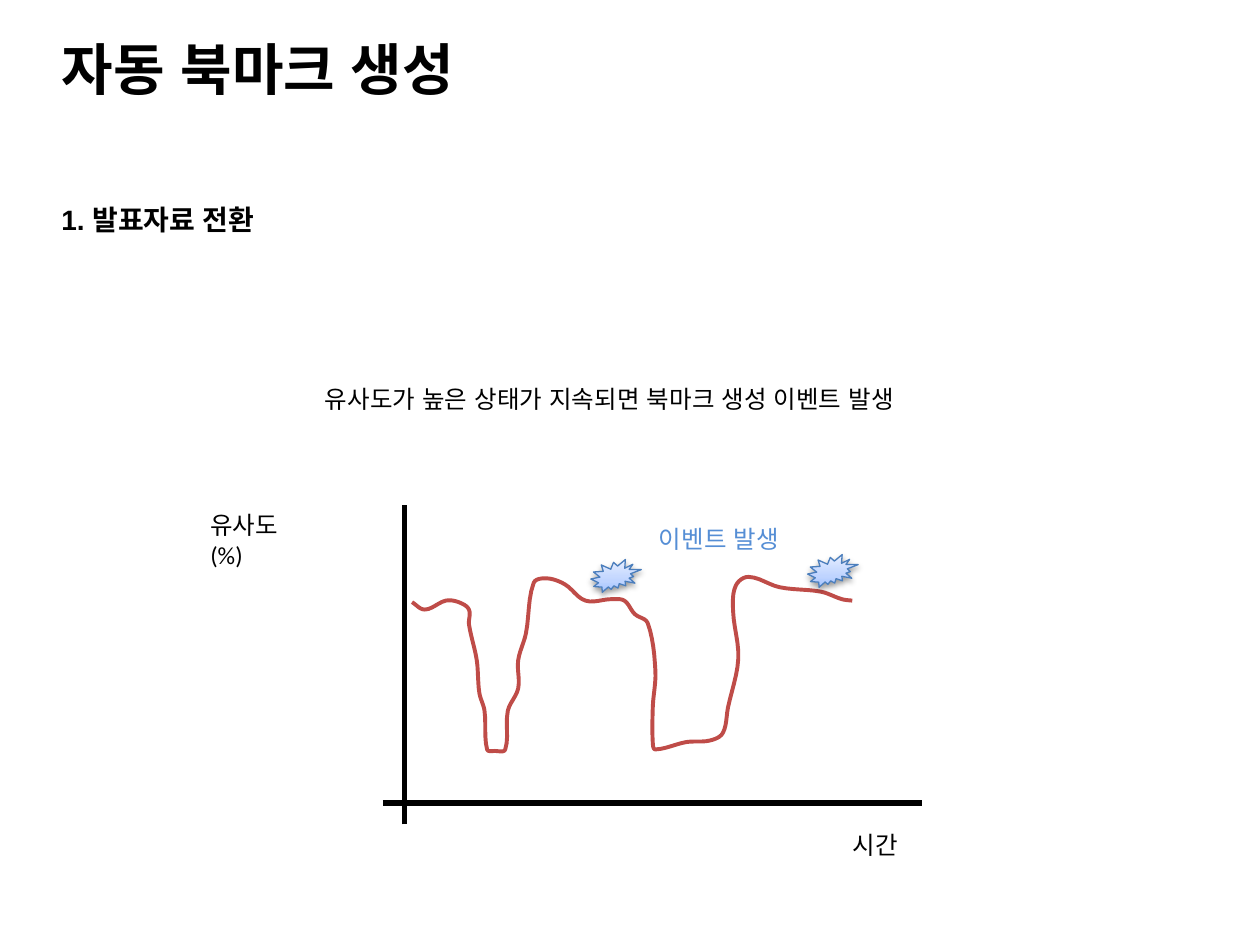
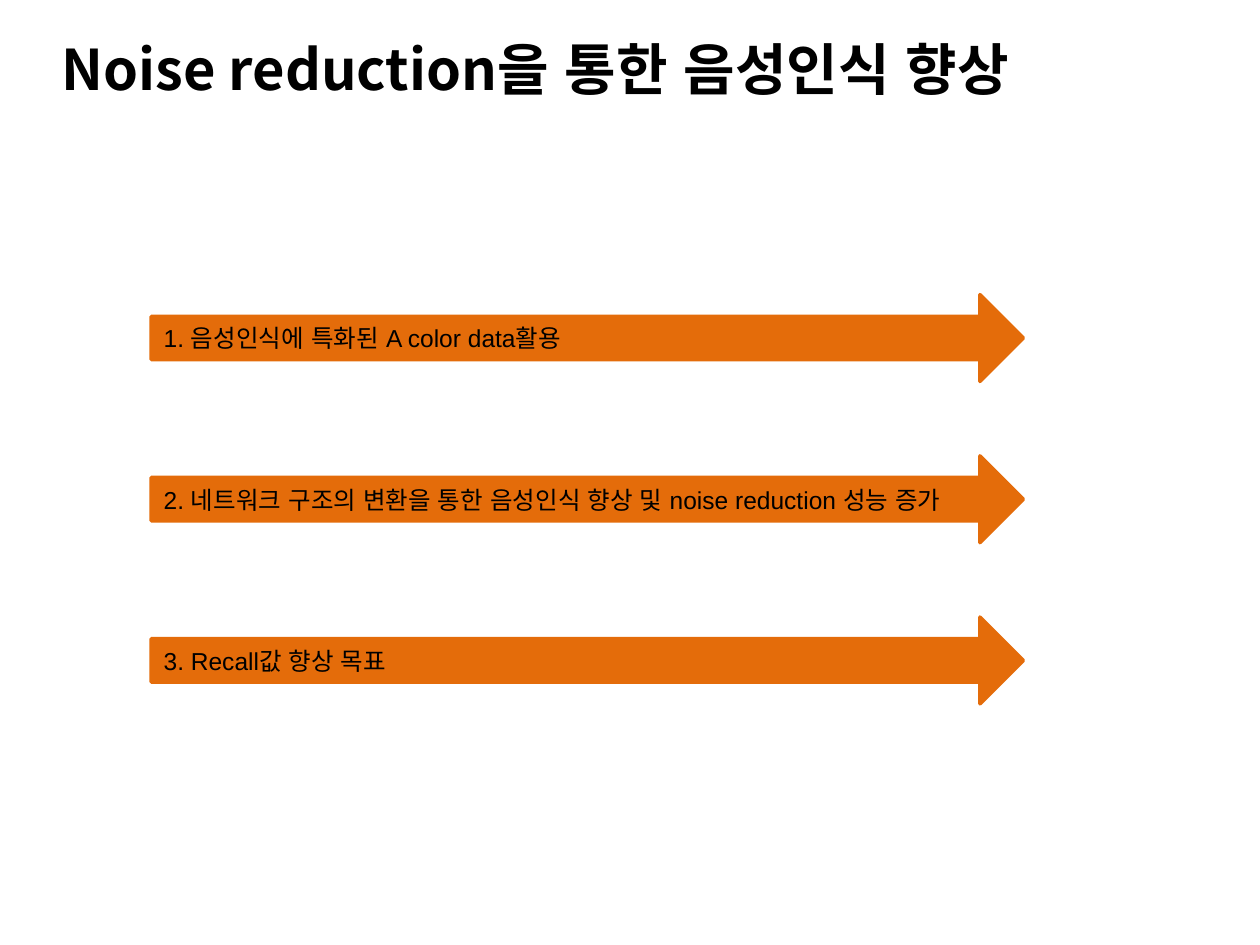
from copy import deepcopy
from itertools import chain
from math import dist

from pptx import Presentation
from pptx.dml.color import RGBColor
from pptx.enum.shapes import MSO_CONNECTOR, MSO_SHAPE
from pptx.enum.text import MSO_ANCHOR, MSO_AUTO_SIZE, PP_ALIGN
from pptx.oxml import parse_xml
from pptx.oxml.ns import nsdecls, qn
from pptx.util import Cm, Pt

BLACK = RGBColor(0x00, 0x00, 0x00)
RED = RGBColor(0xBF, 0x4C, 0x48)
ORANGE = RGBColor(0xE4, 0x6C, 0x0A)
BLUE = RGBColor(0x55, 0x8E, 0xD5)
SEAL_EDGE = RGBColor(0x4B, 0x7E, 0xBC)
SEAL_STOPS = [(0, RGBColor(0xA4, 0xC4, 0xFF)),
              (0.35, RGBColor(0xBF, 0xD4, 0xFF)),
              (1, RGBColor(0xE6, 0xEE, 0xFF))]

HANGUL_FONT = "Arial"
TITLE_FORMAT = {"name": "Noto Sans CJK KR", "size": Pt(32), "bold": True}
HEADING_FORMAT = {"name": "Arial", "size": Pt(16), "bold": True}
LABEL_FORMAT = {"name": "Calibri", "size": Pt(14)}
STEP_FORMAT = {"name": "Arial", "size": Pt(14)}

BOOKMARK_TITLE = "자동 북마크 생성"
NOISE_TITLE = "Noise reduction을 통한 음성인식 향상"

# text, (left, top, width, height) in cm, wrap, format, colour
LABELS = [
    ("1. 발표자료 전환", (0.99, 3.96, 4.72, 0.94), False, HEADING_FORMAT, BLACK),
    ("유사도가 높은 상태가 지속되면 북마크 생성 이벤트 발생",
     (6.3, 7.62, 13.06, 0.86), False, LABEL_FORMAT, BLACK),
    ("유사도(%)", (3.99, 10.16, 2.5, 0.86), True, LABEL_FORMAT, BLACK),
    ("시간", (16.94, 16.61, 2.06, 0.86), True, LABEL_FORMAT, BLACK),
    ("이벤트 발생", (13.03, 10.44, 3.15, 0.86), False, LABEL_FORMAT, BLUE),
]

# Plot in cm: both axes cross at the origin and run a little past it
ORIGIN_X, ORIGIN_Y = 8.15, 16.19
TIME_LENGTH, SIMILARITY_LENGTH = 10.44, 6
AXIS_OVERRUN = 0.43

# (time, similarity), each in percent of its axis
SIMILARITY_PHASES = {
    "first slide": [(1.5, 67.5), (4, 65), (8, 68), (10.5, 67.5), (12.5, 65)],
    "first fall": [(12.5, 60), (14, 48), (14.5, 37), (15.5, 31)],
    "first change": [(16, 18), (17.5, 17.5), (19.5, 18)],
    "first rise": [(20, 31), (22, 38.5), (22, 48), (23.5, 57), (25, 74)],
    "second slide": [(27.5, 75.5), (31, 73.5), (35, 68), (40, 68.5),
                     (42.5, 68), (44.5, 63.5)],
    "second fall": [(47, 60.5), (48.5, 44.5), (48, 32.5)],
    "second change": [(48, 20), (48.5, 18), (54.5, 20.5), (59, 21), (61.5, 23.5)],
    "second rise": [(62.5, 32), (64.5, 48.5), (63.5, 64.5), (64, 73)],
    "third slide": [(66.5, 76), (72.5, 72.5), (80.5, 71), (84.5, 68.5),
                    (86.5, 68)],
}
STEPS_PER_SPAN = 6

EVENT_SEALS = [(11.91, 11.28), (16.28, 11.18)]
SEAL_SIZE = (1.02, 0.66)

STEPS = [
    "1. 음성인식에 특화된 A color data활용",
    "2. 네트워크 구조의 변환을 통한 음성인식 향상 및 noise reduction 성능 증가",
    "3. Recall값 향상 목표",
]
STEP_LEFT, STEP_TOP, STEP_PITCH = 3.05, 5.94, 3.25
STEP_SIZE = (17.58, 1.75)


def cms(*values):
    return [Cm(v) for v in values]


def write(tf, text, font_format, color=BLACK):
    p = tf.paragraphs[0]
    p.alignment = PP_ALIGN.LEFT
    r = p.add_run()
    r.text = text
    for name, value in font_format.items():
        setattr(r.font, name, value)
    r.font.color.rgb = color
    ea = parse_xml(f'<a:ea {nsdecls("a")} typeface="{HANGUL_FONT}"/>')
    r.font._element.find(qn("a:latin")).addnext(ea)


def add_titled_slide(prs, title):
    slide = prs.slides.add_slide(prs.slide_layouts[5])
    sp = slide.shapes.title
    sp.left, sp.top, sp.width, sp.height = cms(0.99, 0.56, 22.86, 1.63)
    tf = sp.text_frame
    tf.auto_size = MSO_AUTO_SIZE.NONE
    tf.vertical_anchor = MSO_ANCHOR.MIDDLE
    write(tf, title, TITLE_FORMAT)
    return slide


def add_label(slide, text, box, wrap, font_format, color):
    tf = slide.shapes.add_textbox(*cms(*box)).text_frame
    tf.word_wrap = wrap
    tf.auto_size = MSO_AUTO_SIZE.SHAPE_TO_FIT_TEXT
    write(tf, text, font_format, color)


def set_line(sp, color, width):
    sp.line.color.rgb = color
    sp.line.width = Pt(width)


def add_axis(slide, *ends):
    axis = slide.shapes.add_connector(MSO_CONNECTOR.STRAIGHT, *cms(*ends))
    set_line(axis, BLACK, 3)
    axis._element.spPr.append(parse_xml(f'<a:effectLst {nsdecls("a")}/>'))


def add_axes(slide):
    add_axis(slide, ORIGIN_X - AXIS_OVERRUN, ORIGIN_Y,
             ORIGIN_X + TIME_LENGTH, ORIGIN_Y)
    add_axis(slide, ORIGIN_X, ORIGIN_Y + AXIS_OVERRUN,
             ORIGIN_X, ORIGIN_Y - SIMILARITY_LENGTH)


def plot_point(time, similarity):
    """Turn percentages of the axes into a place on the slide."""
    return (Cm(ORIGIN_X + TIME_LENGTH * time / 100),
            Cm(ORIGIN_Y - SIMILARITY_LENGTH * similarity / 100))


def smooth(points):
    """Join points by Hermite spans; each tangent runs parallel to the
    line between a point's neighbours, so the bends stay round."""
    padded = [points[0], *points, points[-1]]
    directions = [((after[0] - before[0]) / dist(before, after),
                   (after[1] - before[1]) / dist(before, after))
                  for before, after in zip(padded, padded[2:])]
    path = [points[0]]
    for i, (start, end) in enumerate(zip(points, points[1:])):
        span = dist(start, end)
        for step in range(1, STEPS_PER_SPAN + 1):
            t = step / STEPS_PER_SPAN
            to_end = t * t * (3 - 2 * t)
            leave, arrive = t * (1 - t) ** 2, t * t * (t - 1)
            path.append(tuple(
                a + (b - a) * to_end + span * (leave * u + arrive * v)
                for a, b, u, v in zip(start, end, directions[i],
                                      directions[i + 1])))
    return path


def add_similarity_curve(slide):
    knots = chain.from_iterable(SIMILARITY_PHASES.values())
    start, *rest = smooth([plot_point(*knot) for knot in knots])
    builder = slide.shapes.build_freeform(*start)
    builder.add_line_segments(rest, close=False)
    sp = builder.convert_to_shape()
    sp.fill.background()
    set_line(sp, RED, 2.25)
    sp.shadow.inherit = False


def add_event_seal(slide, place):
    """Add a burst with a three-stop gradient and a soft shadow below."""
    sp = slide.shapes.add_shape(MSO_SHAPE.EXPLOSION2, *cms(*place, *SEAL_SIZE))
    sp.fill.gradient()
    sp.fill.gradient_angle = 90
    stops = sp._element.spPr.find(".//" + qn("a:gsLst"))
    stops.append(deepcopy(stops[0]))
    for stop, (position, color) in zip(sp.fill.gradient_stops, SEAL_STOPS):
        stop.position = position
        stop.color.rgb = color
    set_line(sp, SEAL_EDGE, 0.75)
    sp.shadow.inherit = False
    sp._element.spPr.find(qn("a:effectLst")).append(parse_xml(
        f'<a:outerShdw {nsdecls("a")} blurRad="40000" dist="20000" '
        'dir="5400000" rotWithShape="0"><a:srgbClr val="000000">'
        '<a:alpha val="38000"/></a:srgbClr></a:outerShdw>'))


def add_step(slide, index, text):
    top = STEP_TOP + index * STEP_PITCH
    sp = slide.shapes.add_shape(MSO_SHAPE.RIGHT_ARROW,
                                *cms(STEP_LEFT, top, *STEP_SIZE))
    sp.fill.solid()
    sp.fill.fore_color.rgb = ORANGE
    set_line(sp, ORANGE, 2)
    sp.shadow.inherit = False
    sp.text_frame.vertical_anchor = MSO_ANCHOR.MIDDLE
    write(sp.text_frame, text, STEP_FORMAT)


def add_bookmark_slide(prs):
    slide = add_titled_slide(prs, BOOKMARK_TITLE)
    add_axes(slide)
    add_similarity_curve(slide)
    for place in EVENT_SEALS:
        add_event_seal(slide, place)
    for label in LABELS:
        add_label(slide, *label)


def add_noise_slide(prs):
    slide = add_titled_slide(prs, NOISE_TITLE)
    for index, text in enumerate(STEPS):
        add_step(slide, index, text)


def main():
    prs = Presentation()
    prs.slide_width, prs.slide_height = cms(25.4, 19.05)
    add_bookmark_slide(prs)
    add_noise_slide(prs)
    prs.save("out.pptx")


if __name__ == "__main__":
    main()
